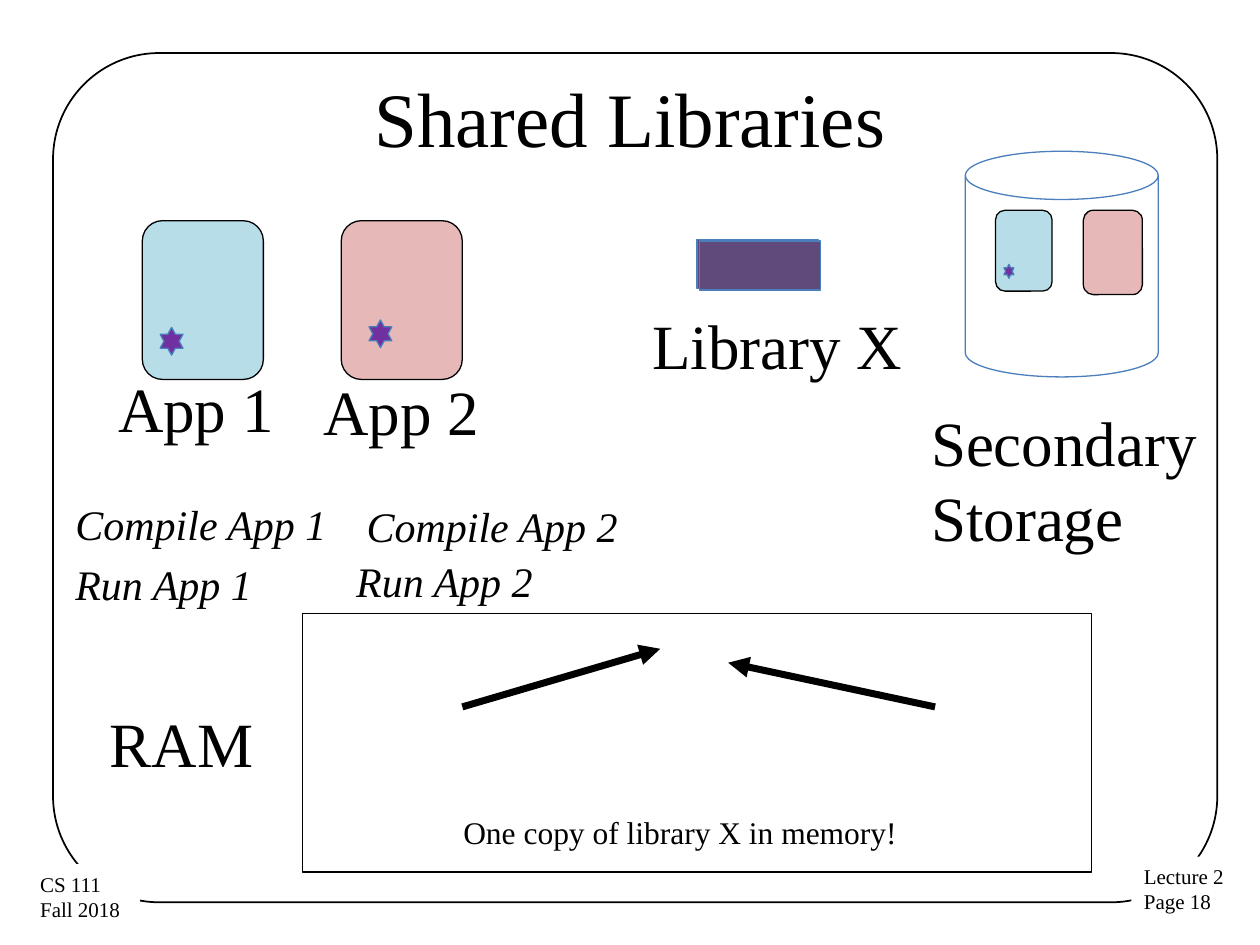
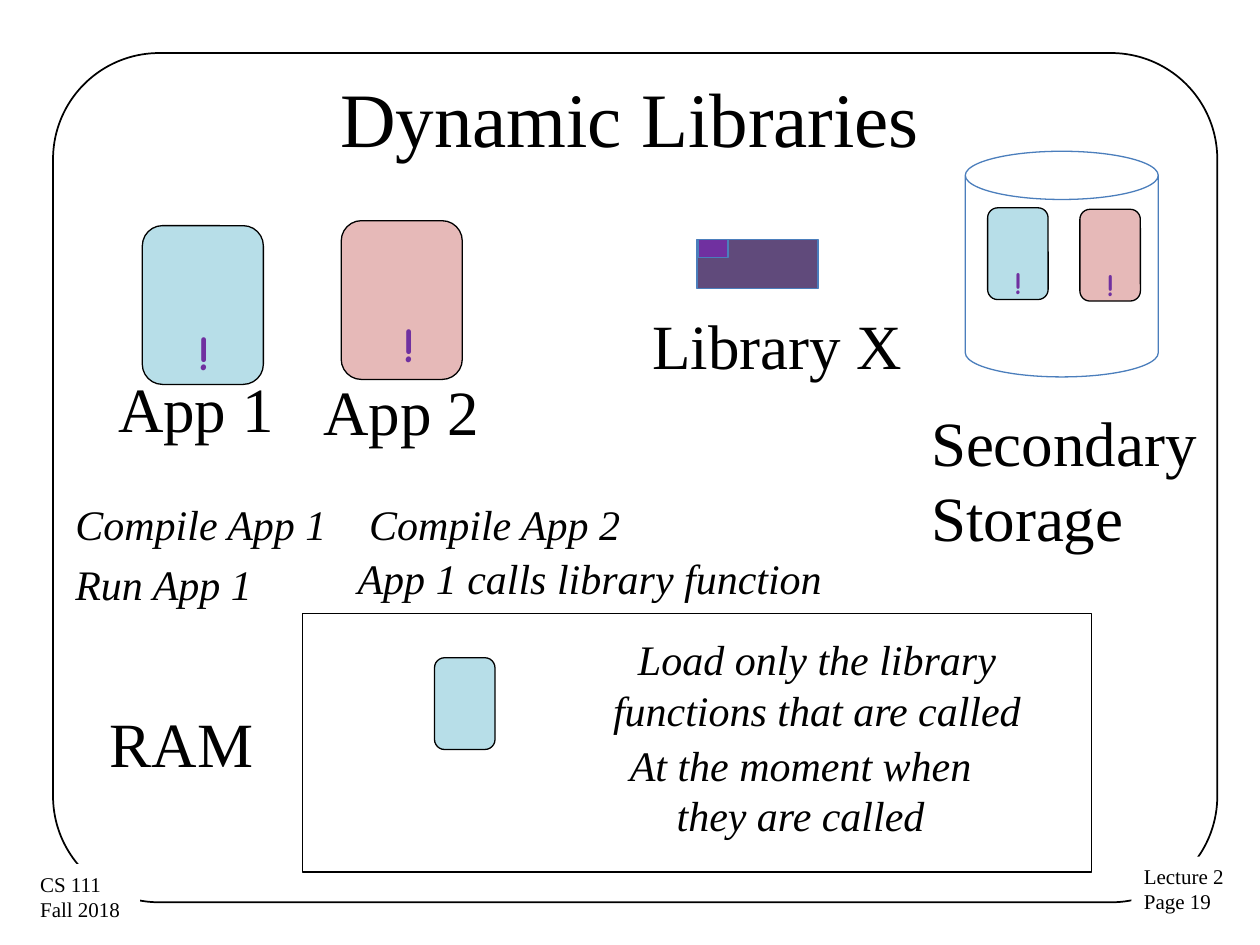
import dataclasses

import pptx
import pptx.dml.color
import pptx.enum.shapes
import pptx.enum.text
import pptx.oxml
import pptx.oxml.ns
import pptx.util
from pptx.util import Cm, Pt

SHAPE = pptx.enum.shapes.MSO_SHAPE
ALIGN = pptx.enum.text.PP_ALIGN
AUTO_SIZE = pptx.enum.text.MSO_AUTO_SIZE


@dataclasses.dataclass(frozen=True)
class Theme:
    serif: str = "Times New Roman"
    casual: str = "Comic Neue"
    ink: str = "000000"
    paper: str = "FFFFFF"
    edge: str = "4B7EBC"
    app1: str = "B7DEE8"
    app2: str = "E6B9B8"
    library: str = "604A7B"
    accent: str = "7030A0"
    title: int = 44
    label: int = 36
    mark: int = 28
    step: int = 24
    note: int = 18
    footer: int = 12
    thin: float = 0.75
    frame: float = 1
    arrow: float = 4


THEME = Theme()
TITLE_BOX = (1.27, 0.76, 22.86, 3.18)
APP_SIZE = (2.44, 3.2)
APP1_LEFT, APP2_LEFT, APP_TOP = 2.87, 6.88, 4.45
LIBRARY_BOX = (14.05, 4.83, 2.44, 0.99)
STORAGE_BOX = (19.46, 3.05, 3.89, 4.55)
RAM_BOX = (6.1, 12.37, 15.9, 5.21)
STORED_SIZE = (1.22, 1.85)
STAR_SIZE = (0.46, 0.56)
MARK_SIZE = (0.74, 1.45)
STORED_MARK_SIZE = (0.66, 1.02)
LABEL_HEIGHT, STEP_HEIGHT = 1.8, 1.27


def rgb(code):
    return pptx.dml.color.RGBColor.from_string(code)


def inside(region, dx, dy, size):
    """Box of the given size, offset from the corner of a region."""
    return (region[0] + dx, region[1] + dy, *size)


def format_text(frame, lines, size, color=THEME.ink, align=ALIGN.LEFT, **font_format):
    frame.text = "\n".join(lines)
    values = {"name": THEME.serif, "size": Pt(size), **font_format}
    for paragraph in frame.paragraphs:
        paragraph.alignment = align
        for run in paragraph.runs:
            for key, value in values.items():
                setattr(run.font, key, value)
            run.font.color.rgb = rgb(color)


def add_text(slide, box, lines, size, wrap=False, **text_format):
    label = slide.shapes.add_textbox(*map(Cm, box))
    label.text_frame.word_wrap = wrap
    label.text_frame.auto_size = AUTO_SIZE.SHAPE_TO_FIT_TEXT
    format_text(label.text_frame, lines, size, **text_format)


def add_figure(slide, kind, box, fill=None, line=THEME.ink, width=THEME.thin):
    figure = slide.shapes.add_shape(kind, *map(Cm, box))
    figure.shadow.inherit = False
    if fill:
        figure.fill.solid()
        figure.fill.fore_color.rgb = rgb(fill)
    else:
        figure.fill.background()
    if line:
        figure.line.color.rgb = rgb(line)
        figure.line.width = Pt(width)
    else:
        figure.line.fill.background()
    return figure


def add_arrow(slide, start, end):
    arrow = slide.shapes.add_connector(
        pptx.enum.shapes.MSO_CONNECTOR.STRAIGHT, *map(Cm, (*start, *end)))
    arrow.line.color.rgb = rgb(THEME.ink)
    arrow.line.width = Pt(THEME.arrow)
    head = pptx.oxml.parse_xml(
        f'<a:tailEnd {pptx.oxml.ns.nsdecls("a")} type="triangle"/>')
    arrow.line._get_or_add_ln().append(head)
    properties = arrow._element.spPr
    properties.append(pptx.oxml.parse_xml(
        f'<a:effectLst {pptx.oxml.ns.nsdecls("a")}/>'))


def add_app(slide, box, fill):
    add_figure(slide, SHAPE.ROUNDED_RECTANGLE, box, fill)


def add_star(slide, box):
    add_figure(slide, SHAPE.STAR_6_POINT, box, THEME.accent, THEME.edge)


def add_mark(slide, box, size):
    add_text(slide, box, ["!"], size, color=THEME.accent, name=THEME.casual, bold=True)


def add_step(slide, left, top, width, words):
    add_text(slide, (left, top, width, STEP_HEIGHT), [words], THEME.step, italic=True)


def add_page(deck, title, number):
    """Slide with the course frame, footers and title."""
    slide = deck.slides.add_slide(deck.slide_layouts[5])
    frame = add_figure(slide, SHAPE.ROUNDED_RECTANGLE,
                       (1.07, 1.07, 23.47, 17.12), width=THEME.frame)
    frame.adjustments[0] = 0.125
    footers = [
        ((22.81, 17.27, 2.16, 1.3), ["Lecture 2", f"Page {number}"]),
        ((0.56, 17.42, 2.26, 1.3), ["CS 111", "Fall 2018"]),
    ]
    for box, lines in footers:
        footer = add_figure(slide, SHAPE.RECTANGLE, box, THEME.paper, None)
        footer.text_frame.word_wrap = False
        format_text(footer.text_frame, lines, THEME.footer)
    heading = slide.shapes.title
    for key, value in zip(("left", "top", "width", "height"), TITLE_BOX):
        setattr(heading, key, Cm(value))
    heading.text_frame.vertical_anchor = pptx.enum.text.MSO_ANCHOR.MIDDLE
    format_text(heading.text_frame, [title], THEME.title, align=ALIGN.CENTER)
    return slide


def add_apps(slide, app1_top):
    """Both apps with their captions; returns the two app boxes."""
    boxes = [(APP1_LEFT, app1_top, *APP_SIZE), (APP2_LEFT, APP_TOP, *APP_SIZE)]
    for box, fill in zip(boxes, (THEME.app1, THEME.app2)):
        add_app(slide, box, fill)
    for left, top, words in ((2.13, 7.32, "App 1"), (6.27, 7.39, "App 2")):
        add_text(slide, (left, top, 3.68, LABEL_HEIGHT), [words], THEME.label)
    add_step(slide, 1.27, 9.93, 5.61, "Compile App 1")
    add_step(slide, 1.27, 11.13, 4.11, "Run App 1")
    return boxes


def add_library(slide, box):
    add_figure(slide, SHAPE.RECTANGLE, box, THEME.library, THEME.edge)
    add_text(slide, inside(box, -1.15, 1.22, (5.61, LABEL_HEIGHT)),
             ["Library X"], THEME.label)


def add_storage(slide, box):
    add_figure(slide, SHAPE.CAN, box, line=THEME.edge)
    add_text(slide, inside(box, -0.94, 4.95, (5.92, 3.33)),
             ["Secondary", "Storage"], THEME.label)


def add_ram(slide, box):
    add_figure(slide, SHAPE.RECTANGLE, box)
    add_text(slide, inside(box, -4.14, 1.7, (3.43, LABEL_HEIGHT)),
             ["RAM"], THEME.label)


def add_machine(slide, app1_top=APP_TOP):
    """Everything both library diagrams have in common."""
    add_ram(slide, RAM_BOX)
    add_storage(slide, STORAGE_BOX)
    add_library(slide, LIBRARY_BOX)
    return add_apps(slide, app1_top)


def build_shared(deck):
    slide = add_page(deck, "Shared Libraries", 18)
    app1, app2 = add_machine(slide)
    add_star(slide, inside(app1, 0.36, 2.15, STAR_SIZE))
    add_star(slide, inside(app2, 0.56, 2.0, STAR_SIZE))
    add_step(slide, 7.14, 9.96, 5.61, "Compile App 2")
    add_step(slide, 6.93, 11.07, 4.11, "Run App 2")

    stored = inside(STORAGE_BOX, 0.61, 1.19, (1.14, 1.63))
    add_app(slide, stored, THEME.app1)
    add_star(slide, inside(stored, 0.17, 1.09, (0.2, 0.28)))
    add_app(slide, inside(STORAGE_BOX, 2.38, 1.19, (1.19, 1.7)), THEME.app2)
    add_figure(slide, SHAPE.RECTANGLE, inside(LIBRARY_BOX, 0.05, 0.03, LIBRARY_BOX[2:]),
               THEME.library, THEME.edge)

    for start, end in (((3.22, 1.88), (7.21, 0.71)), ((12.75, 1.88), (8.58, 0.99))):
        add_arrow(slide, inside(RAM_BOX, *start, ()), inside(RAM_BOX, *end, ()))
    add_text(slide, inside(RAM_BOX, 2.99, 3.89, (9.35, 1.02)),
             ["One copy of library X in memory!"], THEME.note)


def build_dynamic(deck):
    slide = add_page(deck, "Dynamic Libraries", 19)
    app1, app2 = add_machine(slide, app1_top=4.55)
    add_mark(slide, inside(app1, 0.86, 1.8, MARK_SIZE), THEME.mark)
    add_mark(slide, inside(app2, 0.99, 1.75, MARK_SIZE), THEME.mark)
    add_step(slide, 7.19, 9.93, 5.61, "Compile App 2")
    add_step(slide, 6.96, 11.02, 9.96, "App 1 calls library function")

    for dx, dy, fill in ((2.31, 1.17, THEME.app2), (0.45, 1.14, THEME.app1)):
        stored = inside(STORAGE_BOX, dx, dy, STORED_SIZE)
        add_app(slide, stored, fill)
        add_mark(slide, inside(stored, 0.28, 0.99, STORED_MARK_SIZE), THEME.note)
    add_figure(slide, SHAPE.RECTANGLE, inside(LIBRARY_BOX, 0.02, 0, (0.61, 0.36)),
               THEME.accent, THEME.edge)

    add_app(slide, inside(RAM_BOX, 2.66, 0.89, STORED_SIZE), THEME.app1)
    remarks = [
        (5.99, 0.28, "Load only the library functions that are called"),
        (5.66, 2.41, "At the moment when they are called"),
    ]
    for dx, dy, words in remarks:
        add_text(slide, inside(RAM_BOX, dx, dy, (8.76, 2.31)), [words], THEME.step,
                 wrap=True, align=ALIGN.CENTER, italic=True)


def main():
    deck = pptx.Presentation()
    deck.slide_width, deck.slide_height = Cm(25.4), Cm(19.05)
    build_shared(deck)
    build_dynamic(deck)
    deck.save("out.pptx")


if __name__ == "__main__":
    main()
